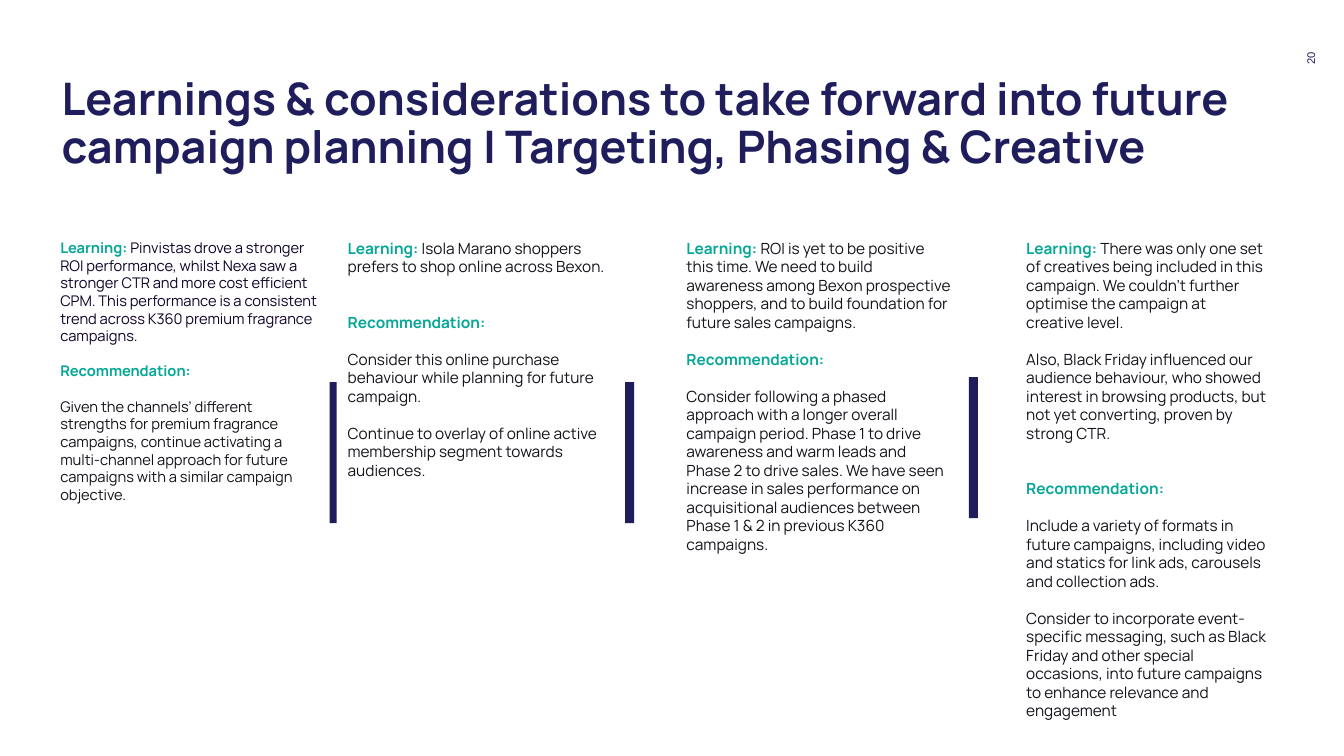
from pptx import Presentation
from pptx.dml.color import RGBColor
from pptx.enum.shapes import MSO_SHAPE
from pptx.enum.text import MSO_ANCHOR, PP_ALIGN
from pptx.util import Inches, Pt

NAVY, TEAL, INK, DEEP_INK = "201D5C", "06A796", "12121A", "100228"
FONT = "Manrope"
LINE_HEIGHT = 1.205  # natural line height of the font, in ems

TITLE = ("Learnings & considerations to take forward into future "
         "campaign planning | Targeting, Phasing & Creative")
PAGE_NUMBER = "20"

# Boxes are (left, top, width, height) in percent of the slide
TITLE_BOX = (4.58, 10.13, 90.47, 19.33)
NUMBER_BOX = (95.65, 9.33, 3.75, 1.73)
DIVIDERS = [(24.53, 50.53, 0.53, 18.67),
            (46.51, 50.53, 0.68, 18.67),
            (72.09, 49.87, 0.68, 18.67)]

# Each paragraph: (blank lines before, teal label, text)
COLUMNS = [
    {"box": (3.75, 30.27, 20.78, 60.67), "size": 10.5, "lead": DEEP_INK, "paragraphs": [
        (0, "Learning: ", "Pinvistas drove a stronger ROI performance, whilst Nexa saw a "
            "stronger CTR and more cost efficient CPM. This performance is a consistent "
            "trend across K360 premium fragrance campaigns."),
        (1, "Recommendation:", ""),
        (1, "", "Given the channels’ different strengths for premium fragrance campaigns, "
            "continue activating a multi-channel approach for future campaigns with a "
            "similar campaign objective."),
    ]},
    {"box": (25.13, 30.27, 21.23, 65.47), "size": 11, "lead": INK, "paragraphs": [
        (0, "Learning: ", "Isola Marano shoppers prefers to shop online across Bexon."),
        (2, "Recommendation:", ""),
        (1, "", "Consider this online purchase behaviour while planning for future campaign."),
        (1, "", "Continue to overlay of online active membership segment towards audiences."),
    ]},
    {"box": (50.34, 30.27, 21.23, 54.4), "size": 11, "lead": INK, "paragraphs": [
        (0, "Learning: ", "ROI is yet to be positive this time. We need to build awareness "
            "among Bexon prospective shoppers, and to build foundation for future sales "
            "campaigns."),
        (1, "Recommendation:", ""),
        (1, "", "Consider following a phased approach with a longer overall campaign period. "
            "Phase 1 to drive awareness and warm leads and Phase 2 to drive sales. We have "
            "seen increase in sales performance on acquisitional audiences between "
            "Phase 1 & 2 in previous K360 campaigns."),
    ]},
    {"box": (75.62, 30.27, 19.35, 60.67), "size": 11, "lead": INK, "paragraphs": [
        (0, "Learning: ", "There was only one set of creatives being included in this "
            "campaign. We couldn’t further optimise the campaign at creative level."),
        (1, "", "Also, Black Friday influenced our audience behaviour, who showed interest "
            "in browsing products, but not yet converting, proven by strong CTR."),
        (2, "Recommendation:", ""),
        (1, "", "Include a variety of formats in future campaigns, including video and "
            "statics for link ads, carousels and collection ads."),
        (1, "", "Consider to incorporate event-specific messaging, such as Black Friday and "
            "other special occasions, into future campaigns to enhance relevance and "
            "engagement"),
    ]},
]

presentation = Presentation()
presentation.slide_width = Inches(13.33)
presentation.slide_height = Inches(7.5)
slide = presentation.slides.add_slide(presentation.slide_layouts[6])


def color(value):
    return RGBColor.from_string(value)


def place(box):
    width, height = presentation.slide_width, presentation.slide_height
    return [int(share * side / 100) for share, side in zip(box, (width, height) * 2)]


def add_text_box(box, margin=0):
    shape = slide.shapes.add_textbox(*place(box))
    frame = shape.text_frame
    frame.word_wrap = True
    frame.margin_left = frame.margin_right = Inches(margin)
    frame.margin_top = frame.margin_bottom = Inches(margin)
    return shape


def style(font, size, value, name=FONT, bold=False):
    font.name, font.size, font.bold = name, Pt(size), bold
    font.color.rgb = color(value)


def add_run(paragraph, text, value, bold):
    run = paragraph.add_run()
    run.text = text
    run.font.bold = bold
    run.font.color.rgb = color(value)


# Title
paragraph = add_text_box(TITLE_BOX).text_frame.paragraphs[0]
paragraph.text = TITLE
paragraph.line_spacing = 0.9
style(paragraph.font, 32, NAVY, bold=True)

# Page number, reading upwards
number = add_text_box(NUMBER_BOX)
number.rotation = 270
number.text_frame.vertical_anchor = MSO_ANCHOR.MIDDLE
paragraph = number.text_frame.paragraphs[0]
paragraph.text = PAGE_NUMBER
paragraph.alignment = PP_ALIGN.RIGHT
style(paragraph.font, 8, NAVY, name="Arial")

# Dividers between the columns
for box in DIVIDERS:
    divider = slide.shapes.add_shape(MSO_SHAPE.RECTANGLE, *place(box))
    divider.shadow.inherit = False
    divider.fill.solid()
    divider.fill.fore_color.rgb = color(NAVY)
    divider.line.fill.background()

# Columns of learnings and recommendations
for column in COLUMNS:
    frame = add_text_box(column["box"], margin=0.1).text_frame
    size = column["size"]
    for index, (blank_lines, label, text) in enumerate(column["paragraphs"]):
        paragraph = frame.add_paragraph() if index else frame.paragraphs[0]
        if blank_lines:
            paragraph.space_before = Pt(blank_lines * size * LINE_HEIGHT)
        paragraph.font.name, paragraph.font.size = FONT, Pt(size)
        if label:
            add_run(paragraph, label, TEAL, True)
        if text:
            add_run(paragraph, text, INK if index else column["lead"], False)

presentation.save("out.pptx")
